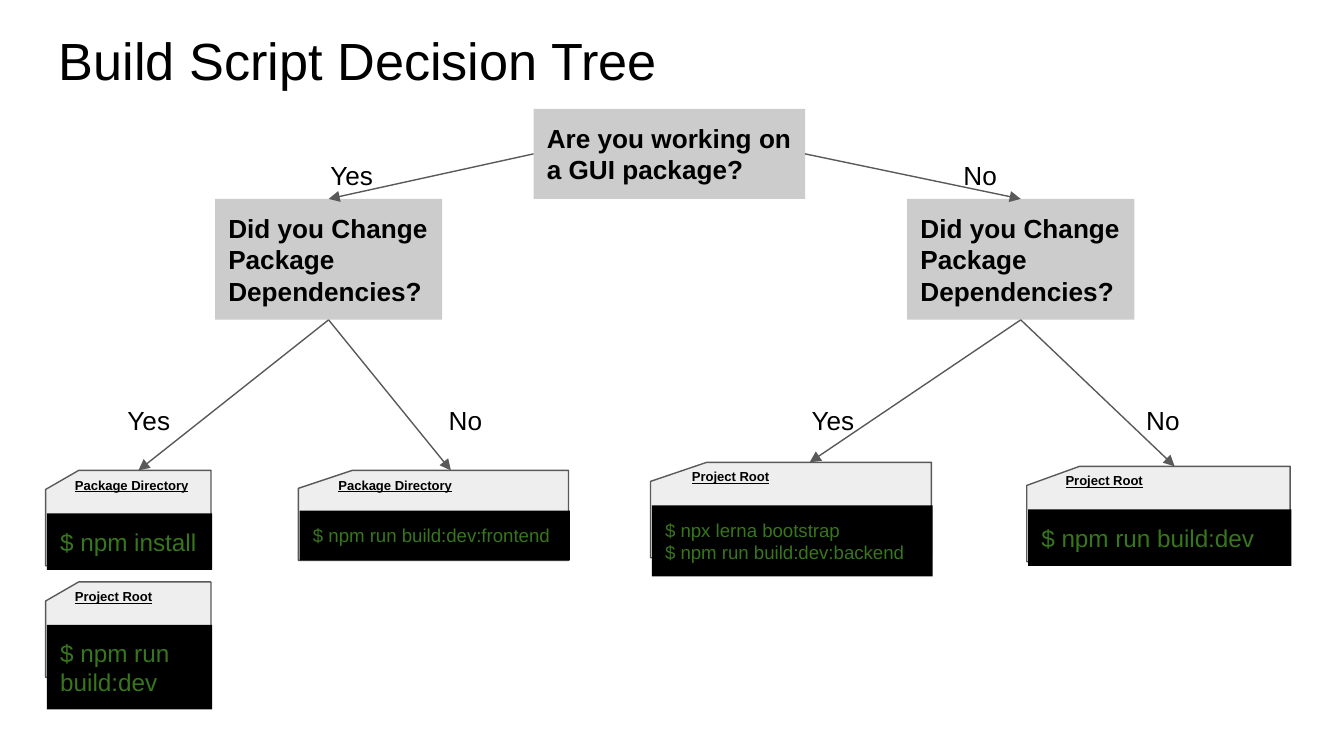
from dataclasses import dataclass

from lxml import etree
from pptx import Presentation
from pptx.dml.color import RGBColor
from pptx.enum.shapes import MSO_CONNECTOR, MSO_SHAPE
from pptx.enum.text import MSO_ANCHOR, PP_ALIGN
from pptx.oxml.ns import qn
from pptx.shapes.autoshape import Shape
from pptx.shapes.shapetree import GroupShapes, SlideShapes
from pptx.util import Pt

RECTANGLE = MSO_SHAPE.RECTANGLE
PUNCHED_CARD = MSO_SHAPE.FLOWCHART_CARD
STRAIGHT = MSO_CONNECTOR.STRAIGHT
TOP, MIDDLE, BOTTOM = MSO_ANCHOR.TOP, MSO_ANCHOR.MIDDLE, MSO_ANCHOR.BOTTOM
LEFT = PP_ALIGN.LEFT
SIDE_TOP, SIDE_LEFT, SIDE_BOTTOM, SIDE_RIGHT = range(4)

EMU_PER_PX = 9144  # 100 px to the inch
SLIDE_WIDTH = 1000
PADDING = 10


@dataclass(frozen=True)
class Theme:
    font: str = "Arial"
    text: RGBColor = RGBColor(0x00, 0x00, 0x00)
    question_fill: RGBColor = RGBColor(0xCC, 0xCC, 0xCC)
    folder_fill: RGBColor = RGBColor(0xEE, 0xEE, 0xEE)
    line: RGBColor = RGBColor(0x59, 0x59, 0x59)
    terminal_fill: RGBColor = RGBColor(0x00, 0x00, 0x00)
    terminal_text: RGBColor = RGBColor(0x38, 0x76, 0x1D)
    title_size: int = 28
    body_size: int = 14
    command_size: int = 13
    small_command_size: int = 10
    folder_size: int = 7
    line_width: float = 0.75


THEME = Theme()


@dataclass(frozen=True)
class Box:
    left: int
    top: int
    width: int
    height: int

    def emu(self) -> tuple[int, ...]:
        return tuple(px(n) for n in (self.left, self.top, self.width, self.height))


@dataclass(frozen=True)
class Question:
    text: str
    box: Box


@dataclass(frozen=True)
class Answer:
    text: str
    box: Box


@dataclass(frozen=True)
class CommandCard:
    folder: str
    commands: tuple[str, ...]
    box: Box
    label_indent: int
    label_width: int
    terminal_height: int
    tab_height: int = 32
    command_size: int = THEME.command_size


def px(length: int) -> int:
    return length * EMU_PER_PX


def write(shape: Shape, lines: tuple[str, ...], size: int, color: RGBColor = THEME.text,
          bold: bool = False, underline: bool = False, anchor: MSO_ANCHOR = MIDDLE,
          padding_top: int = PADDING) -> None:
    frame = shape.text_frame
    frame.word_wrap = True
    frame.vertical_anchor = anchor
    frame.margin_left = frame.margin_right = frame.margin_bottom = px(PADDING)
    frame.margin_top = px(padding_top)
    frame.text = "\n".join(lines)
    for paragraph in frame.paragraphs:
        paragraph.alignment = LEFT
        font = paragraph.font
        font.name, font.size = THEME.font, Pt(size)
        font.bold, font.underline = bold, underline
        font.color.rgb = color


def add_block(shapes: SlideShapes | GroupShapes, kind: MSO_SHAPE, box: Box,
              fill: RGBColor, outlined: bool = False) -> Shape:
    shape = shapes.add_shape(kind, *box.emu())
    shape.shadow.inherit = False
    shape.fill.solid()
    shape.fill.fore_color.rgb = fill
    if outlined:
        shape.line.color.rgb = THEME.line
        shape.line.width = Pt(THEME.line_width)
    else:
        shape.line.fill.background()
    return shape


def add_question(shapes: SlideShapes, question: Question) -> Shape:
    shape = add_block(shapes, RECTANGLE, question.box, THEME.question_fill)
    write(shape, (question.text,), THEME.body_size, bold=True)
    return shape


def add_answer(shapes: SlideShapes, answer: Answer) -> None:
    write(shapes.add_textbox(*answer.box.emu()), (answer.text,), THEME.body_size)


def add_card(shapes: SlideShapes, card: CommandCard) -> Shape:
    """Draw a folder with its terminal and return the folder label."""
    group = shapes.add_group_shape().shapes
    box = card.box
    add_block(group, PUNCHED_CARD, box, THEME.folder_fill, outlined=True)
    label_box = Box(box.left + card.label_indent, box.top, card.label_width, 32)
    label = group.add_textbox(*label_box.emu())
    write(label, (card.folder,), THEME.folder_size, bold=True, underline=True,
          anchor=TOP, padding_top=8)
    terminal_box = Box(box.left + 1, box.top + card.tab_height, box.width, card.terminal_height)
    terminal = add_block(group, RECTANGLE, terminal_box, THEME.terminal_fill)
    write(terminal, card.commands, card.command_size, THEME.terminal_text, anchor=TOP)
    return label


def add_arrow(shapes: SlideShapes, start: Shape, side: int, end: Shape) -> None:
    connector = shapes.add_connector(STRAIGHT, 0, 0, 0, 0)
    connector.begin_connect(start, side)
    connector.end_connect(end, SIDE_TOP)
    connector.line.color.rgb = THEME.line
    connector.line.width = Pt(THEME.line_width)
    properties = connector._element.spPr
    etree.SubElement(properties.find(qn("a:ln")), qn("a:tailEnd"), type="triangle")
    etree.SubElement(properties, qn("a:effectLst"))


DEPENDENCIES = "Did you Change Package Dependencies?"
ROOT = Question("Are you working on a GUI package?", Box(397, 81, 202, 67))
GUI = Question(DEPENDENCIES, Box(160, 148, 169, 90))
NOT_GUI = Question(DEPENDENCIES, Box(675, 148, 169, 90))

ANSWERS = (
    Answer("Yes", Box(236, 109, 60, 43)),
    Answer("No", Box(707, 109, 53, 43)),
    Answer("Yes", Box(85, 291, 56, 43)),
    Answer("No", Box(324, 291, 49, 43)),
    Answer("Yes", Box(594, 291, 60, 43)),
    Answer("No", Box(843, 291, 53, 43)),
)

INSTALL = CommandCard("Package Directory", ("$ npm install",), Box(34, 350, 123, 71), 12, 114, 42)
REBUILD = CommandCard("Project Root", ("$ npm run build:dev",), Box(34, 433, 123, 71), 12, 114, 63)
FRONTEND = CommandCard("Package Directory", ("$ npm run build:dev:frontend",),
                       Box(222, 350, 201, 67), 20, 187, 37, 30, THEME.small_command_size)
BACKEND = CommandCard("Project Root", ("$ npx lerna bootstrap", "$ npm run build:dev:backend"),
                      Box(484, 344, 209, 71), 21, 195, 53,
                      command_size=THEME.small_command_size)
BUILD = CommandCard("Project Root", ("$ npm run build:dev",), Box(764, 347, 196, 71), 19, 182, 42)


def main() -> None:
    presentation = Presentation()
    presentation.slide_width = px(SLIDE_WIDTH)
    presentation.slide_height = px(SLIDE_WIDTH) * 9 // 16
    slide = presentation.slides.add_slide(presentation.slide_layouts[6])
    shapes = slide.shapes

    # Title
    title = shapes.add_textbox(*Box(34, 15, 932, 63).emu())
    write(title, ("Build Script Decision Tree",), THEME.title_size, anchor=BOTTOM)
    title.text_frame.paragraphs[0].line_spacing = 0.9

    # Questions and answers
    root, gui, not_gui = (add_question(shapes, question) for question in (ROOT, GUI, NOT_GUI))
    for answer in ANSWERS:
        add_answer(shapes, answer)

    # Command cards
    install, _, frontend, backend, build = (
        add_card(shapes, card) for card in (INSTALL, REBUILD, FRONTEND, BACKEND, BUILD))

    # Branches
    add_arrow(shapes, root, SIDE_LEFT, gui)
    add_arrow(shapes, root, SIDE_RIGHT, not_gui)
    for question, outcomes in ((gui, (install, frontend)), (not_gui, (backend, build))):
        for outcome in outcomes:
            add_arrow(shapes, question, SIDE_BOTTOM, outcome)

    presentation.save("out.pptx")


if __name__ == "__main__":
    main()
